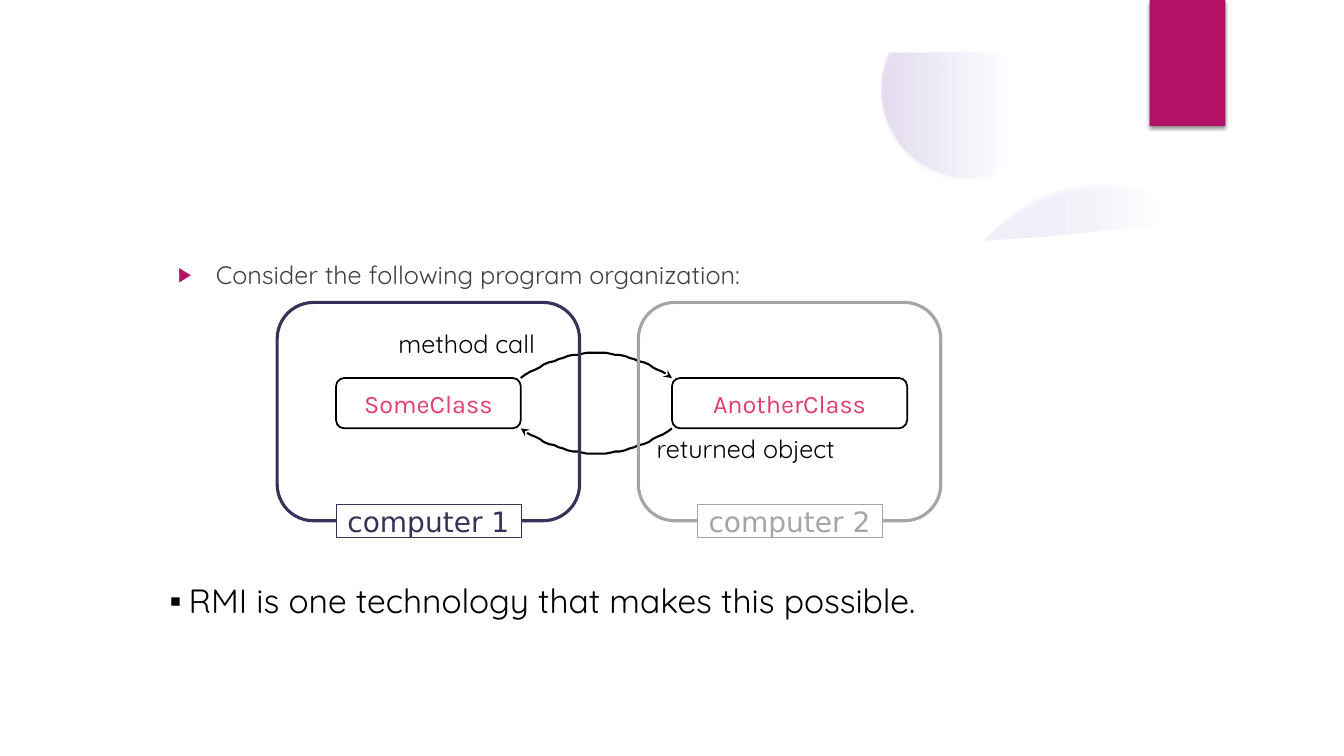
"""Build the slide on remote method calls between two computers."""
from lxml.etree import SubElement
from pptx import Presentation
from pptx.dml.color import RGBColor
from pptx.enum.shapes import MSO_SHAPE
from pptx.enum.text import MSO_ANCHOR, MSO_AUTO_SIZE, PP_ALIGN
from pptx.oxml.ns import qn
from pptx.util import Pt

PX = 9525
COLORS = {
    "white": "FFFFFF", "black": "000000", "accent": "B31166", "text": "404040",
    "class": "E33D6F", "local": "3B3059", "remote": "A5A5A5", "glow": "9B6BF2",
}
SHEET_EDGE = [(48, 196), (153, 209), (308, 224), (468, 233), (631, 238), (780, 236),
              (911, 231), (991, 226), (1070, 218), (1152, 208), (1233, 196)]


def rgb(name):
    return RGBColor.from_string(COLORS[name])


def add_xml(parent, tag, **attributes):
    return SubElement(parent, qn(tag), {key: str(value) for key, value in attributes.items()})


def add_color(parent, name, alpha=None):
    color = add_xml(parent, "a:srgbClr", val=COLORS[name])
    if alpha is not None:
        add_xml(color, "a:alpha", val=alpha * 1000)


def style_shape(shape, fill=None, line=None, width=1):
    shape.shadow.inherit = False
    if fill:
        shape.fill.solid()
        shape.fill.fore_color.rgb = rgb(fill)
    else:
        shape.fill.background()
    if line:
        shape.line.color.rgb = rgb(line)
        shape.line.width = Pt(width)
    else:
        shape.line.fill.background()


def add_box(slide, kind, bounds, **style):
    shape = slide.shapes.add_shape(kind, *(value * PX for value in bounds))
    style_shape(shape, **style)
    return shape


def add_shadow(shape):
    effects = shape.element.spPr.find(qn("a:effectLst"))
    shadow = add_xml(effects, "a:outerShdw", blurRad=Pt(3), dist=Pt(2), dir=5400000, rotWithShape=0)
    add_color(shadow, "black", 45)


def add_glow(slide, bounds, stops):
    shape = add_box(slide, MSO_SHAPE.OVAL, bounds)
    shape.fill.gradient()
    shape.fill.gradient_angle = 0
    stop_list = shape.element.spPr.find(qn("a:gradFill")).find(qn("a:gsLst"))
    for stop in list(stop_list):
        stop_list.remove(stop)
    for position, alpha in stops:
        add_color(add_xml(stop_list, "a:gs", pos=position * 1000), "glow", alpha)
    add_shadow(shape)


def add_outline(slide, contours, close=True, **style):
    builder = slide.shapes.build_freeform(*contours[0][0], scale=PX)
    for index, points in enumerate(contours):
        if index:
            builder.move_to(*points[0])
        builder.add_line_segments(points[1:], close=close)
    shape = builder.convert_to_shape()
    style_shape(shape, **style)
    return shape


def add_arc_arrow(slide, start, end, bulge, steps=32):
    width = end[0] - start[0]
    points = []
    for step in range(steps + 1):
        t = step / steps
        rise = 4 * t * (1 - t) * bulge
        points.append((start[0] + width * t, start[1] + rise))
    shape = add_outline(slide, [points], close=False, line="black", width=1.5)
    add_xml(shape.line._get_or_add_ln(), "a:tailEnd", type="stealth")


def format_text(paragraph, size, font, color):
    for run in paragraph.runs:
        run.font.size = Pt(size)
        run.font.name = font
        run.font.color.rgb = rgb(color)


def add_text_box(slide, kind, bounds, text, size, font, color, **style):
    shape = add_box(slide, kind, bounds, **style)
    frame = shape.text_frame
    frame.text = text
    frame.word_wrap = False
    frame.vertical_anchor = MSO_ANCHOR.MIDDLE
    frame.paragraphs[0].alignment = PP_ALIGN.CENTER
    format_text(frame.paragraphs[0], size, font, color)


def add_label(slide, bounds, text):
    frame = slide.shapes.add_textbox(*(value * PX for value in bounds)).text_frame
    frame.word_wrap = True
    frame.text = text
    format_text(frame.paragraphs[0], 18, "Quicksand", "black")


def fill_list(placeholder, bounds, text, size, color, bullet, bullet_color, bullet_size, indent):
    placeholder.left, placeholder.top, placeholder.width, placeholder.height = (
        value * PX for value in bounds)
    placeholder.element.getparent().append(placeholder.element)
    frame = placeholder.text_frame
    frame.text = text
    frame.auto_size = MSO_AUTO_SIZE.NONE
    frame.vertical_anchor = MSO_ANCHOR.TOP
    paragraph = frame.paragraphs[0]
    paragraph.space_before = Pt(0)
    properties = paragraph._p.get_or_add_pPr()
    properties.set("marL", str(indent * PX))
    properties.set("indent", str(-indent * PX))
    add_color(add_xml(properties, "a:buClr"), bullet_color)
    add_xml(properties, "a:buSzPct", val=bullet_size * 1000)
    add_xml(properties, "a:buChar", char=bullet)
    format_text(paragraph, size, "Quicksand", color)
    return paragraph


def add_background(slide):
    add_glow(slide, (903, 176, 296, 296), [(0, 7), (36, 6), (69, 0)])
    add_glow(slide, (840, 1, 168, 168), [(0, 14), (36, 7), (73, 0)])
    add_outline(slide, [SHEET_EDGE + [(1233, 672), (48, 672)]], fill="white")
    outer = [(0, 0), (0, 720), (1280, 720), (1280, 0)]
    inner = [(50, 50), (1230, 50), (1230, 670), (50, 670)]
    add_outline(slide, [outer, inner], fill="white")
    add_shadow(add_box(slide, MSO_SHAPE.RECTANGLE, (1095, 0, 72, 120), fill="accent"))


def add_diagram(slide):
    for text, left, width in (("SomeClass", 320, 176), ("AnotherClass", 640, 224)):
        add_text_box(slide, MSO_SHAPE.ROUNDED_RECTANGLE, (left, 360, width, 48),
                     text, 18, "Karla", "class", line="black", width=1.25)
    add_arc_arrow(slide, (496, 360), (640, 360), -24)
    add_arc_arrow(slide, (640, 408), (496, 408), 24)
    add_label(slide, (370, 308, 176, 38), "method call")
    add_label(slide, (616, 408, 224, 38), "returned object")
    computers = (("computer 1", 264, "local"), ("computer 2", 608, "remote"))
    for name, left, color in computers:
        add_box(slide, MSO_SHAPE.ROUNDED_RECTANGLE, (left, 288, 288, 208), line=color, width=2.25)
        add_text_box(slide, MSO_SHAPE.RECTANGLE, (left + 56, 480, 176, 32), name, 20,
                     "DejaVu Sans", color, fill="white", line=color, width=0.25)


def main():
    presentation = Presentation()
    presentation.slide_width, presentation.slide_height = 1280 * PX, 720 * PX
    slide = presentation.slides.add_slide(presentation.slide_layouts[3])
    title, organization, technology = slide.placeholders
    title.element.getparent().remove(title.element)
    add_background(slide)
    fill_list(organization, (160, 242, 960, 46), "Consider the following program organization:",
              18, "text", "▶", "accent", 80, 36)
    add_diagram(slide)
    paragraph = fill_list(technology, (152, 552, 936, 44),
                          "RMI is one technology that makes this possible.",
                          24, "black", "▪", "black", 100, 18)
    paragraph.line_spacing = 0.9
    presentation.save("out.pptx")


if __name__ == "__main__":
    main()
